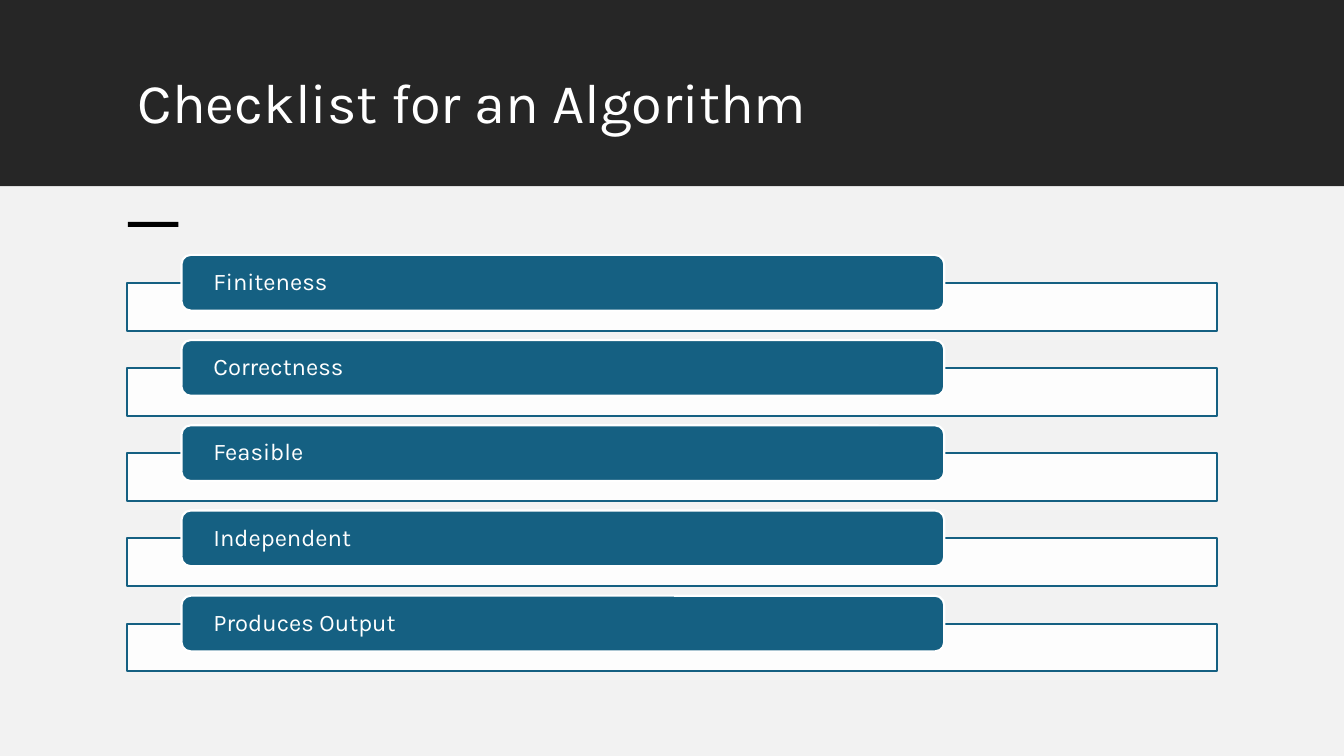
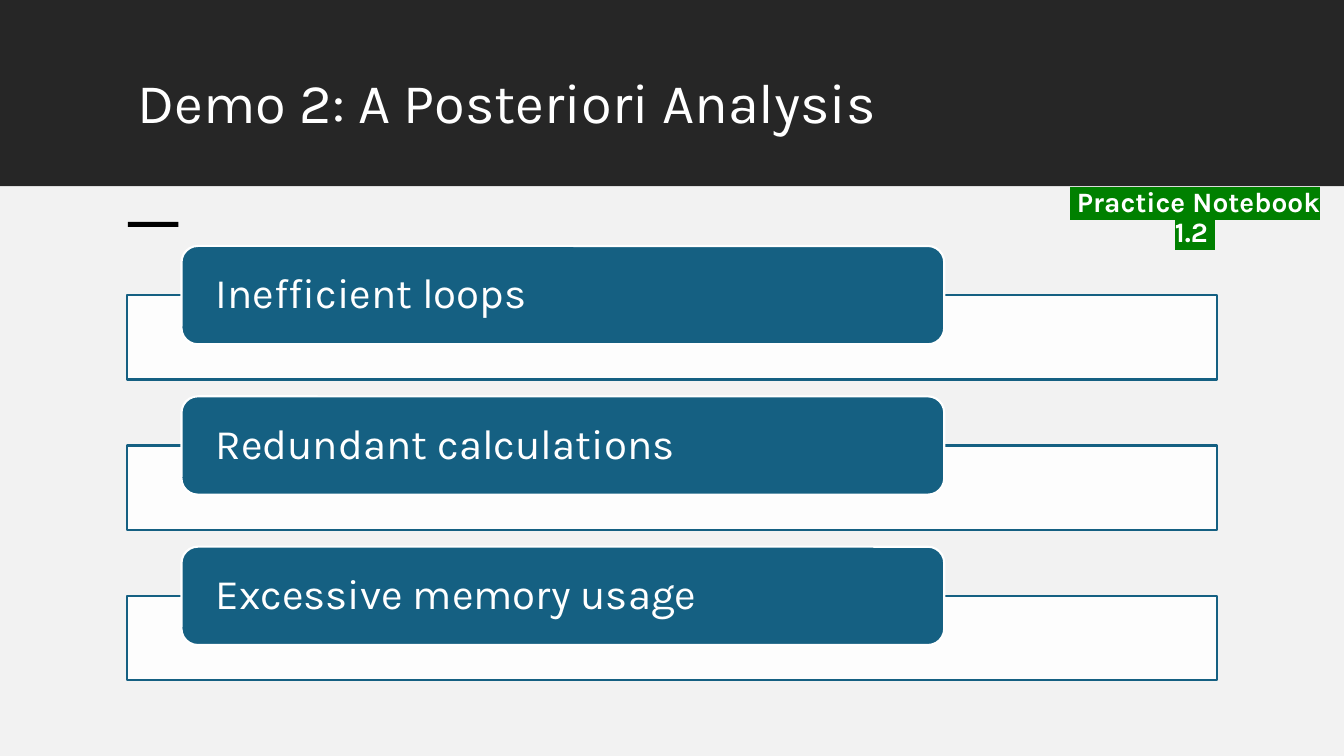
from lxml import etree
from pptx import Presentation
from pptx.dml.color import RGBColor
from pptx.enum.shapes import MSO_SHAPE
from pptx.enum.text import MSO_ANCHOR, PP_ALIGN
from pptx.oxml.ns import qn
from pptx.util import Inches, Pt

RECT, ROUNDED = MSO_SHAPE.RECTANGLE, MSO_SHAPE.ROUNDED_RECTANGLE
TOP, MIDDLE = MSO_ANCHOR.TOP, MSO_ANCHOR.MIDDLE
LEFT, CENTER = PP_ALIGN.LEFT, PP_ALIGN.CENTER

CHARCOAL = RGBColor(0x26, 0x26, 0x26)
PALE_GREY = RGBColor(0xF2, 0xF2, 0xF2)
BLACK = RGBColor(0x00, 0x00, 0x00)
WHITE = RGBColor(0xFF, 0xFF, 0xFF)
TEAL = RGBColor(0x15, 0x60, 0x82)
GREEN = RGBColor(0x00, 0x80, 0x00)

FONT = "Karla"
SLIDE_W, SLIDE_H = Inches(13.33), Inches(7.5)
COLUMNS, ROWS = 160, 90
COL, ROW = SLIDE_W / COLUMNS, SLIDE_H / ROWS

PAGE = (0, 0, COLUMNS, ROWS)
STACK = (15.12, 29.14, 129.72, 52)
TAG = (124.44, 21.84, 35.64, 5.64)
BAND_ROWS = 22.2
CARD_ROWS_PER_POINT = 0.39
PITCH_PER_CARD = 1.53
TRAY_PER_CARD = 0.86
CARD_INSET = 3.48


def place(box):
    left, top, width, height = box
    return [round(v) for v in (left * COL, top * ROW, width * COL, height * ROW)]


def add_panel(slide, box, fill, line=None, kind=RECT, opacity=100):
    panel = slide.shapes.add_shape(kind, *place(box))
    panel.shadow.inherit = False
    panel.fill.solid()
    panel.fill.fore_color.rgb = fill
    if opacity < 100:
        color = panel.fill._xPr.find(qn("a:solidFill"))[0]
        etree.SubElement(color, qn("a:alpha")).set("val", str(opacity * 1000))
    if line is None:
        panel.line.fill.background()
    else:
        panel.line.color.rgb = line
        panel.line.width = Pt(1.5)
    return panel


def write(shape, text, size, anchor=TOP, align=LEFT, bold=False):
    frame = shape.text_frame
    frame.word_wrap = True
    frame.vertical_anchor = anchor
    paragraph = frame.paragraphs[0]
    paragraph.alignment = align
    paragraph.line_spacing = 0.9
    run = paragraph.add_run()
    run.text = text
    run.font.size = Pt(size)
    run.font.bold = bold
    run.font.color.rgb = WHITE
    run.font.name = FONT
    return run


def highlight(run, color):
    mark = etree.Element(qn("a:highlight"))
    etree.SubElement(mark, qn("a:srgbClr")).set("val", str(color))
    run.font._element.find(qn("a:solidFill")).addnext(mark)


def add_frame(slide, box, title):
    left, top, width, height = box
    margin = left + 15.24
    add_panel(slide, (left, top, width, BAND_ROWS), CHARCOAL)
    add_panel(slide, (left, top + BAND_ROWS, width, height - BAND_ROWS), PALE_GREY)
    add_panel(slide, (margin, top + 26.4, 6, 0.6), BLACK)
    heading = slide.shapes.add_textbox(*place((margin, top + 8.4, 129.72, 11.76)))
    write(heading, title, 40)


def add_card_stack(slide, box, labels, size):
    left, top, width, height = box
    card_h = size * CARD_ROWS_PER_POINT
    tray_h = card_h * TRAY_PER_CARD
    pitch = card_h * PITCH_PER_CARD
    stack_h = pitch * (len(labels) - 1) + card_h / 2 + tray_h
    first = top + (height - stack_h) / 2
    for index, label in enumerate(labels):
        card_top = first + index * pitch
        add_panel(slide, (left, card_top + card_h / 2, width, tray_h),
                  WHITE, TEAL, opacity=90)
        card = add_panel(slide, (left + width * 0.05, card_top, width * 0.7, card_h),
                         TEAL, WHITE, ROUNDED)
        frame = card.text_frame
        frame.margin_left = frame.margin_right = round(CARD_INSET * COL)
        frame.margin_top = frame.margin_bottom = 0
        write(card, label, size, MIDDLE)


def add_tag(slide, box, text):
    tag = slide.shapes.add_textbox(*place(box))
    highlight(write(tag, text, 20, align=CENTER, bold=True), GREEN)


def add_list_slide(deck, title, labels, size):
    slide = deck.slides.add_slide(deck.slide_layouts[6])
    add_frame(slide, PAGE, title)
    add_card_stack(slide, STACK, labels, size)
    return slide


def main():
    deck = Presentation()
    deck.slide_width, deck.slide_height = SLIDE_W, SLIDE_H
    add_list_slide(
        deck, "Checklist for an Algorithm",
        ["Finiteness", "Correctness", "Feasible", "Independent", "Produces Output"], 17)
    demo = add_list_slide(
        deck, "Demo 2: A Posteriori Analysis",
        ["Inefficient loops", "Redundant calculations", "Excessive memory usage"], 30)
    add_tag(demo, TAG, " Practice Notebook 1.2 ")
    deck.save("out.pptx")


if __name__ == "__main__":
    main()
